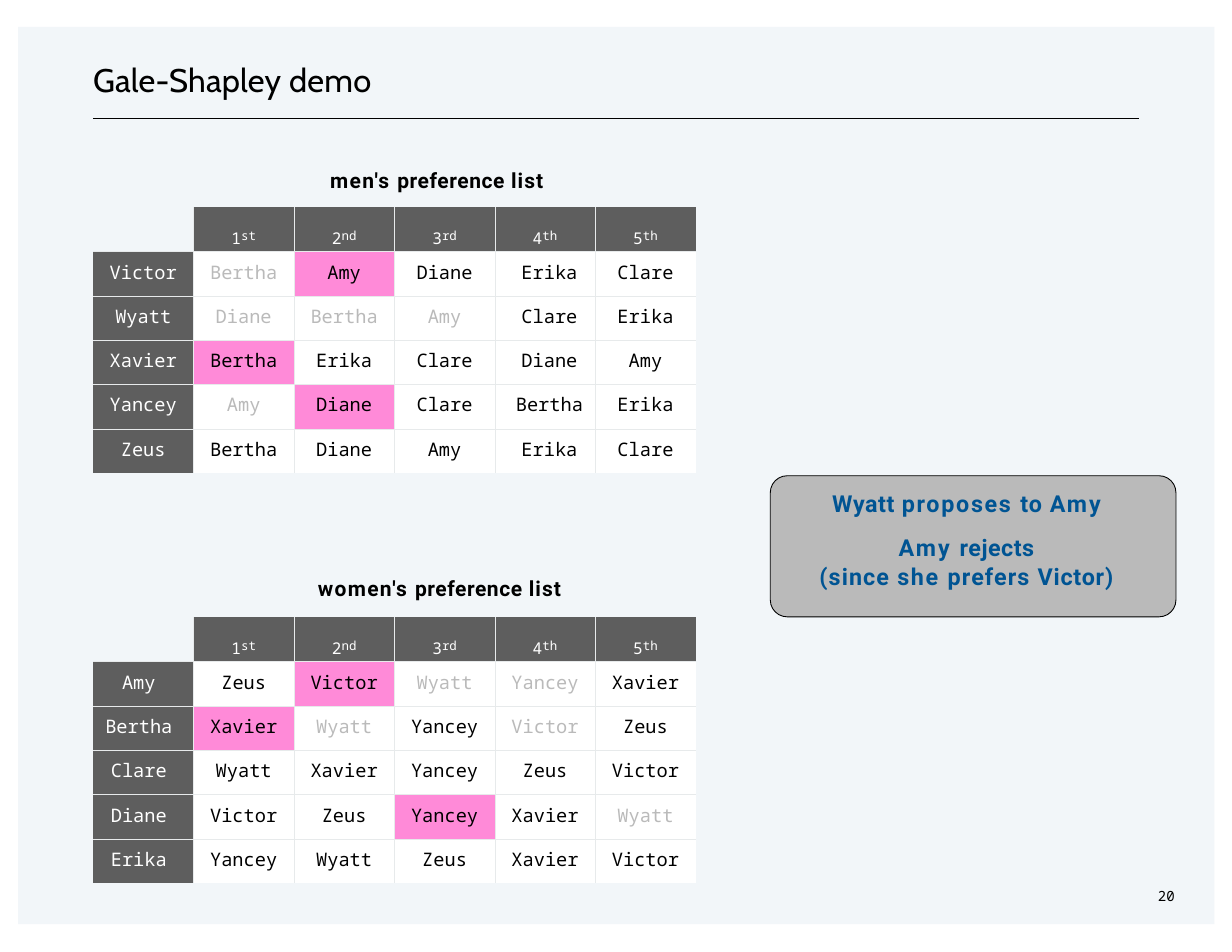
from lxml.etree import SubElement
from pptx import Presentation
from pptx.dml.color import RGBColor
from pptx.enum.shapes import MSO_CONNECTOR, MSO_SHAPE
from pptx.enum.text import MSO_ANCHOR, PP_ALIGN
from pptx.oxml.ns import qn
from pptx.util import Cm, Pt

MONO, SANS = "Noto Sans Mono", "Roboto"
DARK, PINK, GREY, RULE = "5E5E5E", "FF8AD8", "BABABA", "E7EAEB"
BLUE, BLACK, WHITE, PALE = "005493", "000000", "FFFFFF", "F2F6F9"
RANKS = [("1", "st"), ("2", "nd"), ("3", "rd"), ("4", "th"), ("5", "th")]

# Each row: person, then choices; "-" marks a refusal, "*" the current match
MEN = """Victor -Bertha *Amy Diane Erika Clare
Wyatt -Diane -Bertha -Amy Clare Erika
Xavier *Bertha Erika Clare Diane Amy
Yancey -Amy *Diane Clare Bertha Erika
Zeus Bertha Diane Amy Erika Clare"""
WOMEN = """Amy Zeus *Victor -Wyatt -Yancey Xavier
Bertha *Xavier -Wyatt Yancey -Victor Zeus
Clare Wyatt Xavier Yancey Zeus Victor
Diane Victor Zeus *Yancey Xavier -Wyatt
Erika Yancey Wyatt Zeus Xavier Victor"""


def hue(code):
    return RGBColor.from_string(code)


def paint(part, code):
    part.fill.solid()
    part.fill.fore_color.rgb = hue(code)


def place(box):
    return [Cm(n) for n in box]


def add_run(para, text, size, face, code, bold=False, space=0, base=0):
    run = para.add_run()
    run.text = text
    font = run.font
    font.size, font.name, font.bold = Pt(size), face, bold
    font.color.rgb = hue(code)
    props = font._element if hasattr(font, "_element") else run._r.get_or_add_rPr()
    if space:
        props.set("spc", str(round(space * 100)))
    if base:
        props.set("baseline", str(base * 1000))


def set_frame(frame, left=0, top=0.03, right=0, wrap=False):
    frame.margin_left, frame.margin_top = Cm(left), Cm(top)
    frame.margin_right, frame.margin_bottom = Cm(right), 0
    frame.vertical_anchor = MSO_ANCHOR.TOP
    frame.word_wrap = wrap


def add_label(slide, box, runs, size, face, bold=False):
    frame = slide.shapes.add_textbox(*place(box)).text_frame
    set_frame(frame)
    for text, space in runs:
        add_run(frame.paragraphs[0], text, size, face, BLACK, bold, space)


def add_back(slide, box):
    # Pale panel, behind everything else
    panel = slide.shapes.add_shape(MSO_SHAPE.RECTANGLE, *place(box))
    panel.shadow.inherit = False
    panel.line.fill.background()
    paint(panel, BLUE)
    tint = panel.element.spPr.find(qn("a:solidFill"))[0]
    SubElement(tint, qn("a:alpha")).set("val", "5000")
    panel.element.getparent().insert(2, panel.element)


def add_head(slide, box):
    # Title with the rule below it
    left, top, width, height = box
    title = slide.shapes.title
    title.left, title.top, title.width, title.height = place((left, top, 6.8, 0.97))
    set_frame(title.text_frame)
    para = title.text_frame.paragraphs[0]
    para.alignment = PP_ALIGN.LEFT
    for text, space in [("Gale-Shapley ", 0.1), ("demo", 0.2)]:
        add_run(para, text, 21, "Cabin", BLACK, space=space)
    base = top + height
    line = slide.shapes.add_connector(
        MSO_CONNECTOR.STRAIGHT, *place((left, base, left + width, base)))
    line.line.color.rgb = hue(BLACK)
    line.line.width = Pt(0.75)
    SubElement(line.element.spPr, qn("a:effectLst"))


def add_edges(cell, inner):
    # Thin lines between cells, none round the outside
    props = cell._tc.get_or_add_tcPr()
    for side, shown in zip("LRTB", inner):
        edge = SubElement(props, qn("a:ln" + side), w=str(Pt(0.25)))
        if shown:
            fill = SubElement(edge, qn("a:solidFill"))
            SubElement(fill, qn("a:srgbClr"), val=RULE)
        else:
            SubElement(edge, qn("a:noFill"))


def fill_cell(cell, row, col, word):
    para = cell.text_frame.paragraphs[0]
    para.alignment = PP_ALIGN.CENTER
    if row == 0:
        paint(cell, DARK if col else PALE)
        if col:
            digit, tail = RANKS[col - 1]
            add_run(para, digit, 18, MONO, WHITE, base=-14)
            add_run(para, tail, 8, MONO, WHITE)
        return
    paint(cell, DARK if col == 0 else PINK if word[0] == "*" else WHITE)
    ink = WHITE if col == 0 else GREY if word[0] == "-" else BLACK
    add_run(para, word.strip("*-"), 12, MONO, ink)


def add_prefs(slide, box, text, pads):
    # Preference grid; pads gives some columns a left and right inset
    rows = [[""] * 6] + [line.split() for line in text.splitlines()]
    table = slide.shapes.add_table(len(rows), 6, *place(box)).table
    table.first_row = table.horz_banding = False
    for col in table.columns:
        col.width = Cm(box[2] / 6)
    for row, words in enumerate(rows):
        table.rows[row].height = Cm(box[3] / len(rows))
        for col, word in enumerate(words):
            cell = table.cell(row, col)
            left, right = pads.get(col, (0, 0)) if row else (0, 0)
            cell.margin_left, cell.margin_right = Cm(left), Cm(right)
            cell.margin_top, cell.margin_bottom = Cm(0.17 if row else 0.07), 0
            add_edges(cell, (col > 0, col < 5, row > 0, row < len(rows) - 1))
            fill_cell(cell, row, col, word)


def add_note(slide, box):
    # Rounded box that tells the current step
    note = slide.shapes.add_shape(MSO_SHAPE.ROUNDED_RECTANGLE, *place(box))
    note.adjustments[0] = 0.12
    note.shadow.inherit = False
    paint(note, GREY)
    note.line.color.rgb = hue(BLACK)
    note.line.width = Pt(0.56)
    frame = note.text_frame
    set_frame(frame, top=0.2, right=0.3, wrap=True)
    lines = [
        (0, [("Wyatt ", 0.4), ("proposes ", 1.1), ("to ", 0.6), ("Amy", 1.3)]),
        (10, [("Amy ", 1.3), ("rejects", 0.3)]),
        (1, [("(since ", 0.7), ("she ", 1.1), ("prefers ", 0.7), ("Victor)", 0.5)]),
    ]
    for num, (gap, runs) in enumerate(lines):
        para = frame.add_paragraph() if num else frame.paragraphs[0]
        para.alignment = PP_ALIGN.CENTER
        para.space_before = Pt(gap)
        for text, space in runs:
            add_run(para, text, 15, SANS, BLUE, True, space)


def main():
    deck = Presentation()
    deck.slide_width, deck.slide_height = Cm(27.94), Cm(21.59)
    slide = deck.slides.add_slide(deck.slide_layouts[5])
    add_back(slide, (0.41, 0.61, 27.13, 20.35))
    add_head(slide, (2.11, 1.32, 23.72, 1.36))
    tail = [("preference ", 0.4), ("list", 0.7)]
    add_label(slide, (7.49, 3.78, 5.23, 0.64), [("men's ", 0.9)] + tail, 13.5, SANS, True)
    add_prefs(slide, (2.11, 4.7, 13.67, 6.03), MEN, {4: (0.2, 0)})
    add_label(slide, (7.21, 13.03, 5.94, 0.64), [("women's ", 0.9)] + tail, 13.5, SANS, True)
    add_prefs(slide, (2.11, 14, 13.67, 6.03), WOMEN, {0: (0, 0.2)})
    add_note(slide, (17.47, 10.79, 9.2, 3.2))
    # Page number
    add_label(slide, (26.26, 20.09, 0.5, 0.46), [("20", 0)], 9, MONO)
    deck.save("out.pptx")


if __name__ == "__main__":
    main()
